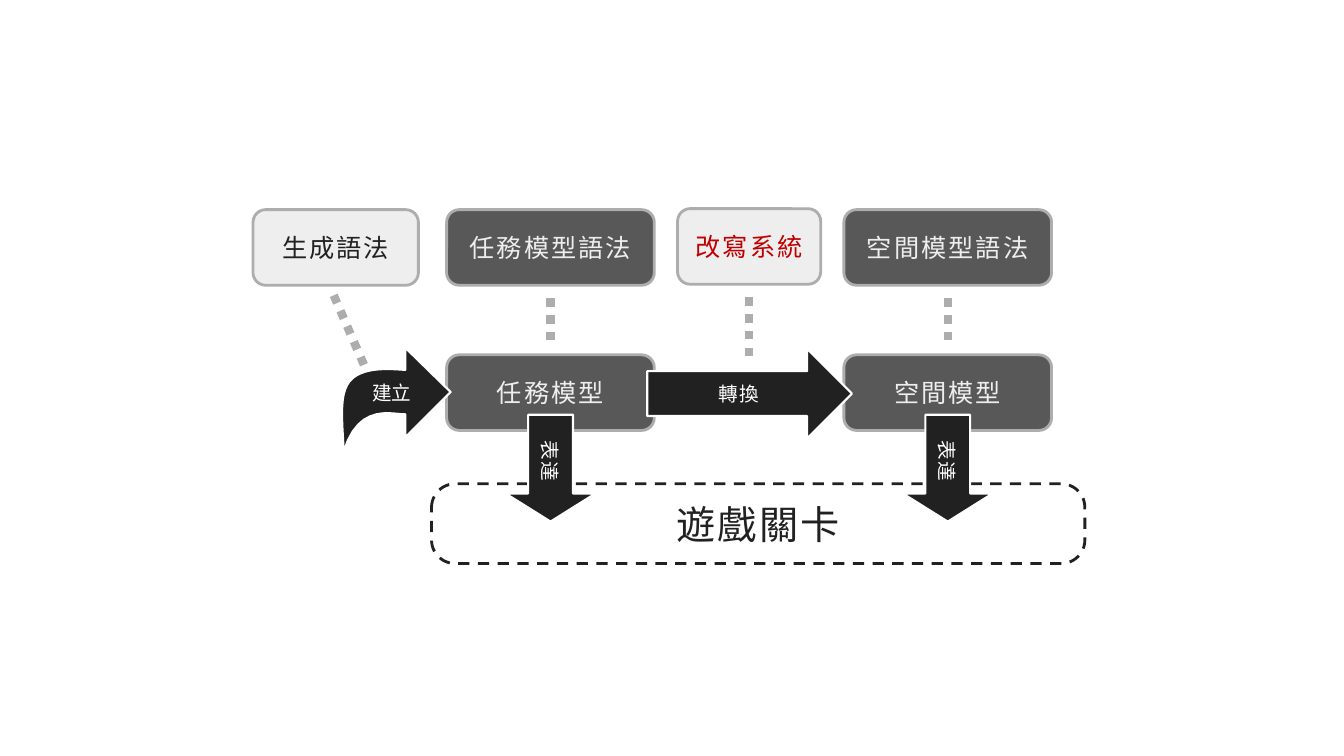
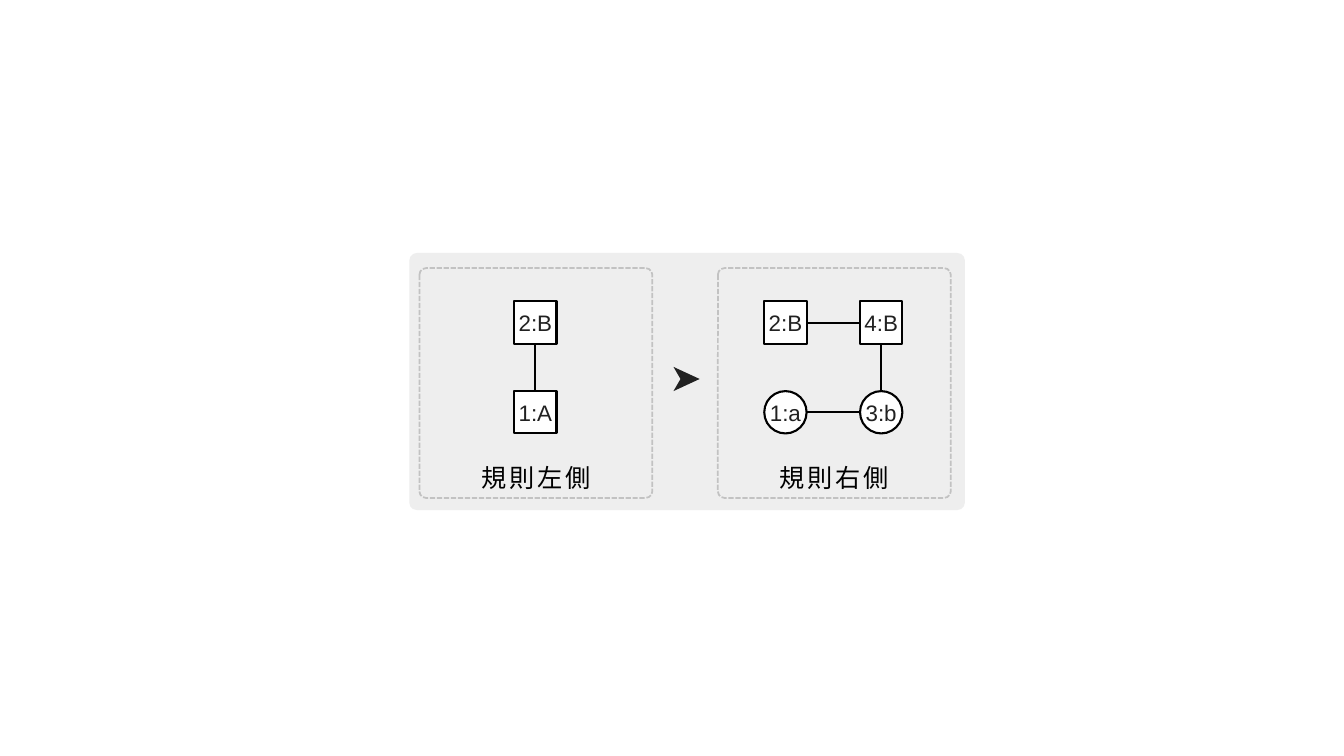
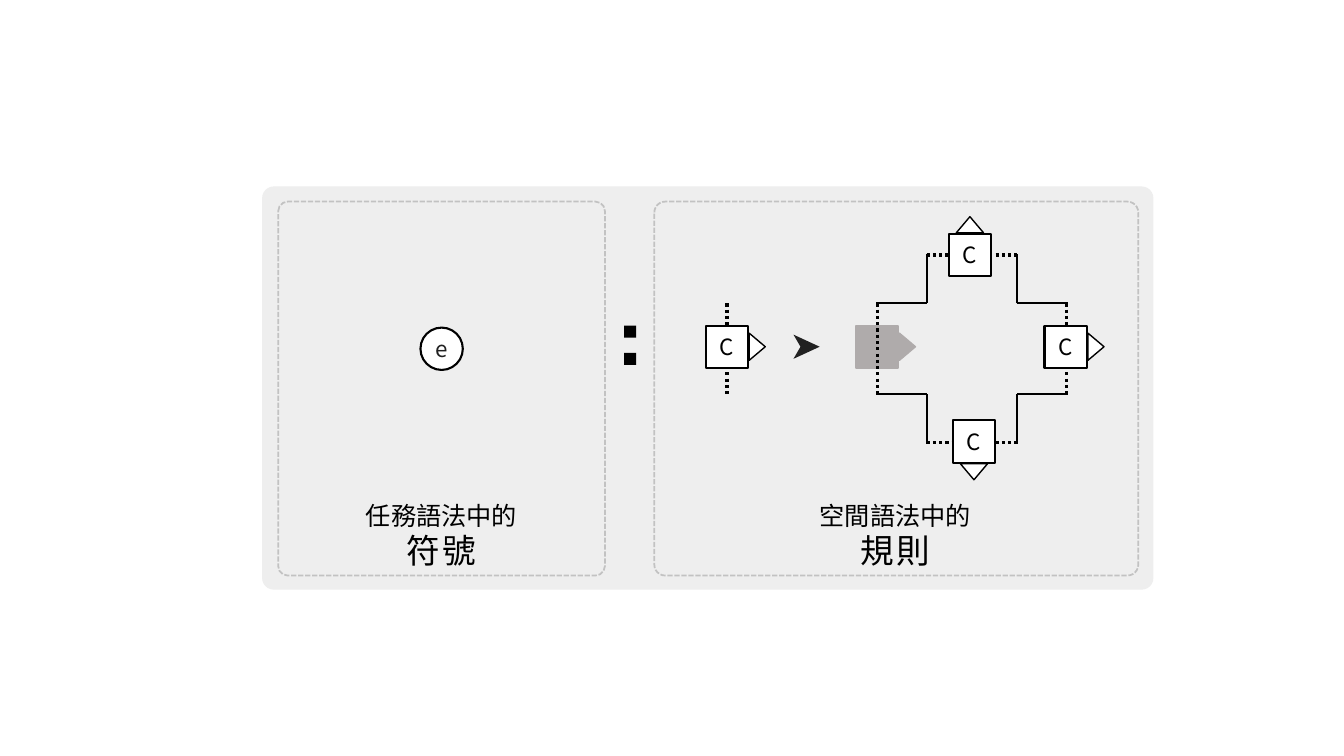
"""Build three diagram slides on mission and space grammars."""
from dataclasses import dataclass
from math import cos, radians, sin

from lxml import etree
from pptx import Presentation
from pptx.dml.color import RGBColor
from pptx.enum.dml import MSO_LINE
from pptx.enum.shapes import MSO_CONNECTOR, MSO_SHAPE
from pptx.enum.text import MSO_ANCHOR, PP_ALIGN
from pptx.oxml.ns import qn
from pptx.util import Inches, Pt

RECT = MSO_SHAPE.RECTANGLE
ROUND = MSO_SHAPE.ROUNDED_RECTANGLE
OVAL = MSO_SHAPE.OVAL
TRIANGLE = MSO_SHAPE.ISOSCELES_TRIANGLE
ARROW = MSO_SHAPE.RIGHT_ARROW
STRAIGHT = MSO_CONNECTOR.STRAIGHT
CENTER = PP_ALIGN.CENTER
MIDDLE, TOP_ANCHOR = MSO_ANCHOR.MIDDLE, MSO_ANCHOR.TOP
DASH, SYS_DASH, SYS_DOT = MSO_LINE.DASH, MSO_LINE.SQUARE_DOT, MSO_LINE.ROUND_DOT
TOP, LEFT, BOTTOM, RIGHT = range(4)


@dataclass(frozen=True)
class Style:
    """Type style of one line of text."""
    size: float
    color: str
    spacing: float = 0
    font: str = "Noto Sans CJK SC"


@dataclass(frozen=True)
class Theme:
    """Colours and type styles shared by the slides."""
    ink: str = "212121"
    black: str = "000000"
    white: str = "FFFFFF"
    dark: str = "585858"
    border: str = "ADADAD"
    pale: str = "EEEEEE"
    frame: str = "808080"
    ghost: str = "AFABAB"
    box_light: Style = Style(18, "EEEEEE", 1.5)
    box_dark: Style = Style(18, "212121", 1.5)
    box_red: Style = Style(18, "C00000", 1.5)
    level: Style = Style(28, "212121", 1.5)
    arrow: Style = Style(14, "FFFFFF", 1)
    create: Style = Style(14, "FFFFFF")
    node: Style = Style(16, "212121", 0, "Arial")
    symbol: Style = Style(16, "212121")
    room: Style = Style(16, "000000")
    side: Style = Style(18, "000000", 2)
    caption: Style = Style(18, "000000")
    caption_big: Style = Style(24, "000000", 2)


T = Theme()
NODE = 0.42


def rgb(code):
    """Return the colour for a hex code."""
    return RGBColor.from_string(code)


def set_line(line, color, width, dash=None):
    """Format an outline or connector line."""
    line.color.rgb = rgb(color)
    line.width = Pt(width)
    if dash:
        line.dash_style = dash


def paint(sp, fill=None, line=None, width=1.5, dash=None):
    """Set fill and outline and drop the shadow."""
    sp.shadow.inherit = False
    if fill:
        sp.fill.solid()
        sp.fill.fore_color.rgb = rgb(fill)
    else:
        sp.fill.background()
    if line:
        set_line(sp.line, line, width, dash)
    else:
        sp.line.fill.background()
    return sp


def write(sp, lines, anchor=MIDDLE, wrap=True, margin=0.0):
    """Write centred lines given as (text, style) pairs."""
    tf = sp.text_frame
    tf.word_wrap = wrap
    tf.vertical_anchor = anchor
    tf.margin_left = tf.margin_right = Inches(margin)
    tf.margin_top = tf.margin_bottom = Inches(margin)
    tf.text = "\n".join(text for text, _ in lines)
    for p, (_, style) in zip(tf.paragraphs, lines):
        p.alignment = CENTER
        r = p.runs[0]
        r.font.size = Pt(style.size)
        r.font.name = style.font
        r.font.color.rgb = rgb(style.color)
        r_pr = r.font._element
        etree.SubElement(r_pr, qn("a:ea")).set("typeface", style.font)
        if style.spacing:
            r_pr.set("spc", str(int(style.spacing * 100)))


def add_shape(s, kind, x, y, w, h, fill=None, line=None, width=1.5, dash=None):
    """Add a painted preset shape."""
    sp = s.shapes.add_shape(kind, Inches(x), Inches(y), Inches(w), Inches(h))
    return paint(sp, fill, line, width, dash)


def add_text(s, x, y, w, h, lines, wrap=True):
    """Add a text box with centred lines."""
    sp = s.shapes.add_textbox(Inches(x), Inches(y), Inches(w), Inches(h))
    write(sp, lines, TOP_ANCHOR, wrap, 0.05)


def add_line(s, x1, y1, x2, y2, color=T.black, width=1.5, dash=None):
    """Add a straight connector without shadow."""
    c = s.shapes.add_connector(STRAIGHT, Inches(x1), Inches(y1), Inches(x2), Inches(y2))
    set_line(c.line, color, width, dash)
    etree.SubElement(c._element.spPr, qn("a:effectLst"))
    return c


def add_outline(s, points, fill, line=None):
    """Add a closed freeform through points in inches."""
    emu = [(Inches(x), Inches(y)) for x, y in points]
    fb = s.shapes.build_freeform(*emu[0])
    fb.add_line_segments(emu[1:], close=True)
    return paint(fb.convert_to_shape(), fill, line)


def curve(p0, p1, p2, p3, steps=12):
    """Return points along a cubic curve, without its start."""
    points = []
    for i in range(1, steps + 1):
        t = i / steps
        weights = ((1 - t) ** 3, 3 * t * (1 - t) ** 2, 3 * t * t * (1 - t), t ** 3)
        points.append(tuple(sum(k * p[axis] for k, p in zip(weights, (p0, p1, p2, p3)))
                            for axis in (0, 1)))
    return points


def add_box(s, x, y, w, text, style, fill):
    """Add a rounded concept box."""
    sp = add_shape(s, ROUND, x, y, w, 0.75, fill, T.border, 2)
    write(sp, [(text, style)])


def add_block_arrow(s, x, y, w, text, rotation=0, head=0.5):
    """Add a labelled block arrow."""
    sp = add_shape(s, ARROW, x, y, w, 0.89, T.ink, T.white)
    sp.adjustments[1] = head
    sp.rotation = rotation
    write(sp, [(text, T.arrow)])


def add_panel(s, x, y, w, h):
    """Add the pale background panel."""
    add_shape(s, ROUND, x, y, w, h, T.pale).adjustments[0] = 0.029


def add_frame(s, x, y, w, h):
    """Add a translucent dashed frame."""
    sp = add_shape(s, ROUND, x, y, w, h, None, T.frame, 1.25, SYS_DASH)
    sp.adjustments[0] = 0.029
    color = sp._element.xpath(".//a:ln//a:srgbClr")[0]
    etree.SubElement(color, qn("a:alpha")).set("val", "40000")


def add_pointer(s, x, y):
    """Add the notched arrowhead between rule sides."""
    add_outline(s, [(x, y - 0.12), (x + 0.26, y), (x, y + 0.12), (x + 0.07, y)], T.ink)


def add_node(s, kind, x, y, text, style=T.node):
    """Add a labelled graph node."""
    sp = add_shape(s, kind, x, y, NODE, NODE, T.white, T.black)
    write(sp, [(text, style)], wrap=False)
    return sp


def side_point(sp, side):
    """Return the middle of a side in inches."""
    fx, fy = ((0.5, 0), (0, 0.5), (0.5, 1), (1, 0.5))[side]
    return (sp.left + fx * sp.width) / Inches(1), (sp.top + fy * sp.height) / Inches(1)


def join(s, a, a_side, b, b_side):
    """Link two nodes, gluing ends that meet a square."""
    c = add_line(s, *side_point(a, a_side), *side_point(b, b_side))
    if a.auto_shape_type == RECT:
        c.begin_connect(a, a_side)
    if b.auto_shape_type == RECT:
        c.end_connect(b, b_side)


def add_room(s, cx, cy, angle, ghost=False):
    """Add a room with a triangle showing its facing direction."""
    fill, line = (T.ghost, T.ghost) if ghost else (T.white, T.black)
    tx = cx + 0.3 * sin(radians(angle))
    ty = cy - 0.3 * cos(radians(angle))
    tip = add_shape(s, TRIANGLE, tx - 0.135, ty - 0.08, 0.27, 0.16, fill, line, 1)
    tip.rotation = angle
    sp = add_shape(s, RECT, cx - NODE / 2, cy - NODE / 2, NODE, NODE, fill, line)
    if not ghost:
        write(sp, [("C", T.room)])


def add_door(s, x1, y1, x2, y2):
    """Add the dotted line running through a room."""
    add_line(s, x1, y1, x2, y2, T.black, 2.25, SYS_DOT)


def build_models(s):
    """Draw the flow from grammars to the game level."""
    columns = ((4.43, "任務模型"), (8.37, "空間模型"))
    for x, text in columns:
        add_box(s, x, 3.52, 2.06, text, T.box_light, T.dark)
    level = add_shape(s, ROUND, 4.28, 4.8, 6.48, 0.79, None, T.ink, 2, DASH)
    level.adjustments[0] = 0.295
    write(level, [("遊戲關卡", T.level)])
    add_block_arrow(s, 6.42, 3.46, 2.03, "轉換")
    for x, text in columns:
        add_box(s, x, 2.08, 2.06, text + "語法", T.box_light, T.dark)
        add_block_arrow(s, x + 0.5, 4.2, 1.06, "表達", 90, 0.313)
        add_line(s, x + 1.03, 2.96, x + 1.03, 3.43, T.border, 6, SYS_DOT)
    add_box(s, 6.72, 2.07, 1.42, "改寫系統", T.box_red, T.pale)
    add_box(s, 2.51, 2.08, 1.64, "生成語法", T.box_dark, T.pale)
    add_line(s, 3.31, 2.93, 3.61, 3.62, T.border, 6, SYS_DOT)
    add_line(s, 7.43, 2.95, 7.43, 3.57, T.border, 6, SYS_DOT)
    start = (3.5, 3.75)
    add_outline(s, [start]
                + curve(start, (3.64, 3.64), (3.86, 3.66), (4.02, 3.67))
                + [(4.02, 3.45), (4.47, 3.89), (4.02, 4.34), (4.02, 4.11)]
                + curve((4.02, 4.11), (3.91, 4.12), (3.56, 3.98), (3.41, 4.48))
                + curve((3.41, 4.48), (3.39, 4.11), (3.36, 3.87), start),
                T.ink, T.white)
    add_text(s, 3.59, 3.73, 0.59, 0.34, [("建立", T.create)], wrap=False)


def build_rule(s):
    """Draw both sides of a graph rewriting rule."""
    add_panel(s, 4.06, 2.51, 5.51, 2.55)
    for x, text in ((4.16, "規則左側"), (7.12, "規則右側")):
        add_frame(s, x, 2.66, 2.31, 2.28)
        add_text(s, x + 0.27, 4.54, 1.77, 0.4, [(text, T.side)])
    upper, lower = 2.99, 3.88
    left_b = add_node(s, RECT, 5.1, upper, "2:B")
    left_a = add_node(s, RECT, 5.1, lower, "1:A")
    join(s, left_b, BOTTOM, left_a, TOP)
    add_pointer(s, 6.68, 3.76)
    node_2 = add_node(s, RECT, 7.58, upper, "2:B")
    node_4 = add_node(s, RECT, 8.53, upper, "4:B")
    node_1 = add_node(s, OVAL, 7.58, lower, "1:a")
    node_3 = add_node(s, OVAL, 8.53, lower, "3:b")
    join(s, node_2, RIGHT, node_4, LEFT)
    join(s, node_4, BOTTOM, node_3, TOP)
    join(s, node_1, RIGHT, node_3, LEFT)


def build_space_rule(s):
    """Draw a mission symbol and its matching space rule."""
    add_panel(s, 2.6, 1.85, 8.84, 4)
    for x, w, cx, first, second in ((2.76, 3.24, 4.38, "任務語法中的", "符號"),
                                    (6.49, 4.8, 8.88, "空間語法中的", "規則")):
        add_frame(s, x, 2, w, 3.71)
        add_text(s, cx - 1.4, 4.91, 2.8, 0.81,
                 [(first, T.caption), (second, T.caption_big)])
    for y in (3.23, 3.5):
        add_shape(s, RECT, 6.19, y, 0.12, 0.12, T.black)
    add_node(s, OVAL, 4.17, 3.25, "e", T.symbol)
    row = 3.44
    add_door(s, 7.21, 3.01, 7.21, 3.91)
    add_room(s, 7.21, row, 90)
    add_pointer(s, 7.87, row)
    add_room(s, 8.7, row, 90, ghost=True)
    for x in (8.7, 10.58):
        add_door(s, x, 3.01, x, 3.91)
    for y in (2.53, 4.39):
        add_door(s, 9.19, y, 10.09, y)
    for cx, cy, angle in ((9.62, 2.53, 0), (10.57, row, 90), (9.66, 4.38, 180)):
        add_room(s, cx, cy, angle)
    mid_x, mid_y = 9.64, 3.46
    for dx in (-1, 1):
        for dy in (-1, 1):
            inner_x, inner_y = mid_x + 0.45 * dx, mid_y + 0.45 * dy
            add_line(s, mid_x + 0.95 * dx, inner_y, inner_x, inner_y)
            add_line(s, inner_x, inner_y, inner_x, mid_y + 0.94 * dy)


def main():
    """Build and save the presentation."""
    prs = Presentation()
    prs.slide_width, prs.slide_height = Inches(13.33), Inches(7.5)
    for build in (build_models, build_rule, build_space_rule):
        build(prs.slides.add_slide(prs.slide_layouts[6]))
    prs.save("out.pptx")


if __name__ == "__main__":
    main()
